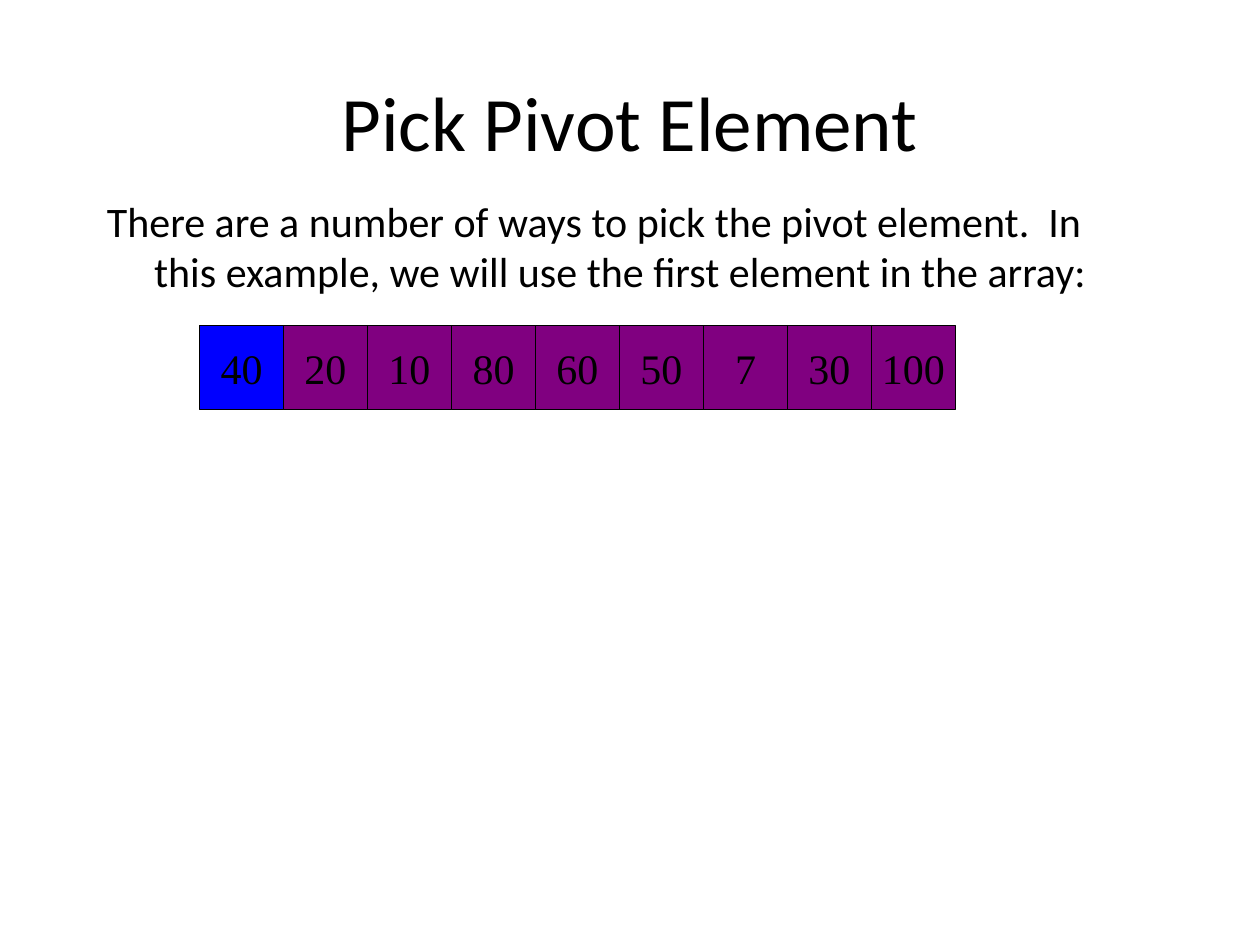
"""Build the slide that picks the pivot element of an array."""
from pptx import Presentation
from pptx.dml.color import RGBColor
from pptx.enum.shapes import MSO_SHAPE as Shape
from pptx.enum.text import MSO_ANCHOR as Anchor, PP_ALIGN as Align
from pptx.util import Pt


def color(code):
    return RGBColor.from_string(code)


def write(box, text, font="Calibri", size=24, align=Align.CENTER,
          anchor=Anchor.MIDDLE, wrap=True, hang=0):
    frame = box.text_frame
    frame.word_wrap = wrap
    frame.vertical_anchor = anchor
    para = frame.paragraphs[0]
    para.alignment = align
    if hang:
        props = para._p.get_or_add_pPr()
        props.set("marL", str(Pt(hang)))
        props.set("indent", str(Pt(-hang)))
    run = para.add_run()
    run.text = text
    run.font.name = font
    run.font.size = Pt(size)
    run.font.color.rgb = color("000000")


deck = Presentation()
deck.slide_width, deck.slide_height = Pt(720), Pt(540)
slide = deck.slides.add_slide(deck.slide_layouts[6])
shapes = slide.shapes

title = shapes.add_textbox(Pt(54), Pt(24), Pt(612), Pt(90))
write(title, "Pick Pivot Element", size=44)

body = shapes.add_textbox(Pt(54), Pt(108), Pt(612), Pt(324))
write(body, "There are a number of ways to pick the pivot element.  In this "
      "example, we will use the first element in the array:",
      align=Align.LEFT, anchor=Anchor.TOP, hang=27)

side = 48
for i, value in enumerate([40, 20, 10, 80, 60, 50, 7, 30, 100]):
    cell = shapes.add_shape(Shape.RECTANGLE, Pt(114 + i * side), Pt(186),
                            Pt(side), Pt(side))
    cell.shadow.inherit = False
    cell.fill.solid()
    cell.fill.fore_color.rgb = color("800080" if i else "0000FF")
    cell.line.color.rgb = color("000000")
    cell.line.width = Pt(0.75)
    write(cell, str(value), font="Times New Roman", wrap=False)

deck.save("out.pptx")
